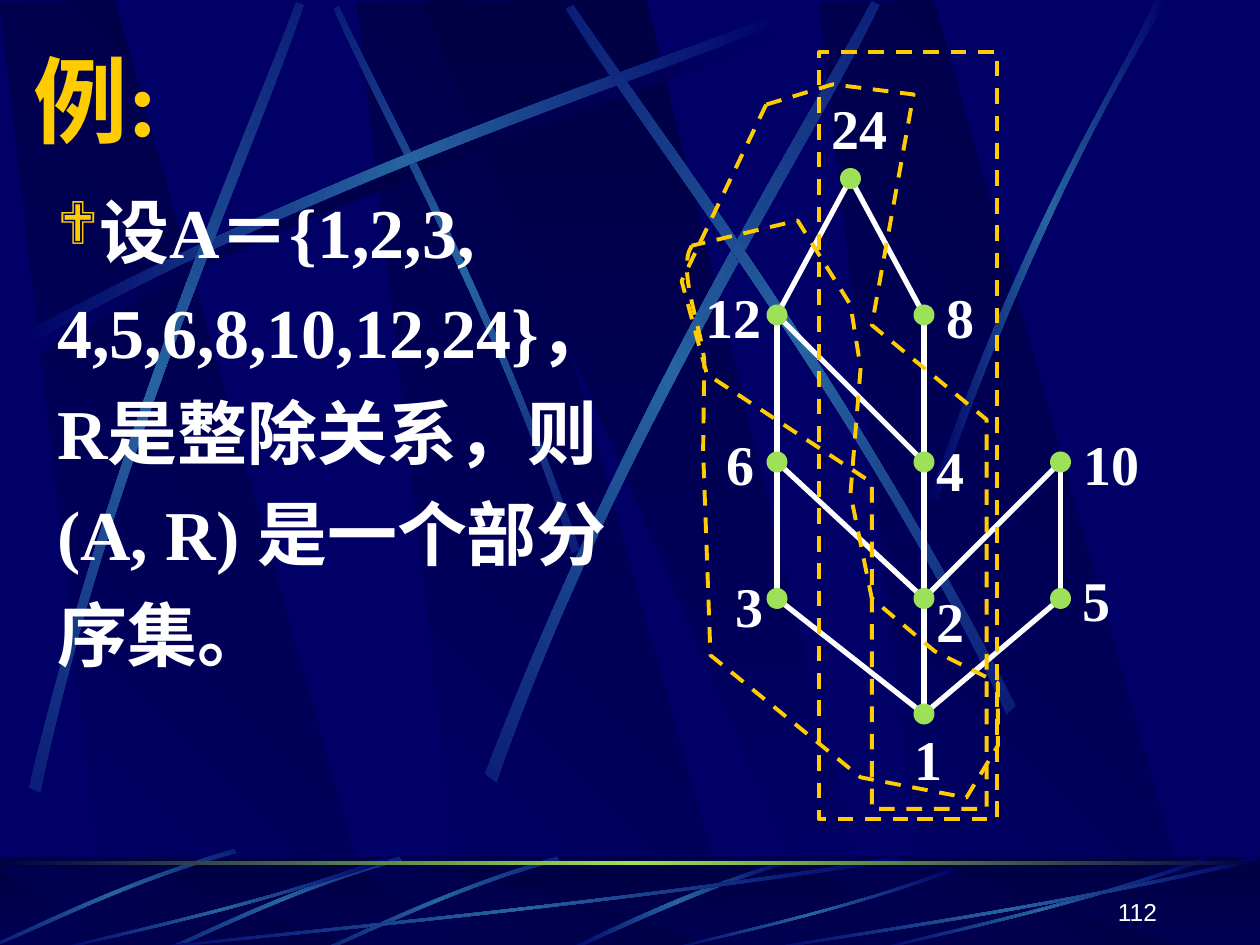
import math

import pptx
import pptx.dml.color
import pptx.enum.dml
import pptx.enum.shapes
import pptx.enum.text
import pptx.oxml.ns
import pptx.util
from lxml import etree

Pt = pptx.util.Pt
RGBColor = pptx.dml.color.RGBColor
MSO_SHAPE = pptx.enum.shapes.MSO_SHAPE
MSO_ANCHOR = pptx.enum.text.MSO_ANCHOR
PP_ALIGN = pptx.enum.text.PP_ALIGN
qn = pptx.oxml.ns.qn

NAVY = RGBColor(0x00, 0x00, 0x66)
DARK = RGBColor(0x00, 0x00, 0x44)
BLUE = RGBColor(0x26, 0x63, 0xA0)
GREEN = RGBColor(0x9C, 0xE1, 0x57)
GOLD = RGBColor(0xFF, 0xCC, 0x00)
WHITE = RGBColor(0xFF, 0xFF, 0xFF)
SERIF, SANS, CHINESE = "Times New Roman", "Arial", "Noto Sans CJK SC"

# Content
TITLE = "例:"
BODY = [("设A＝{1,2,3, 4,5,6,8,10,12,24}，R是整除关系，则(A, R) ", SERIF),
        ("是一个部分序集。", CHINESE)]
PAGE_NUMBER = "112"

# Hasse diagram: node -> (dot centre), (label corner)
NODES = {
    "24": ((486, 102), (468, 42.2)),
    "12": ((444, 180), (396, 150.2)), "8": ((528, 180), (533.8, 150.2)),
    "6": ((444, 264), (408.2, 234)), "4": ((528, 264), (527.8, 237.6)),
    "10": ((606, 264), (612, 234)),
    "3": ((444, 342), (413, 315.4)), "2": ((528, 342), (527.8, 324)),
    "5": ((606, 342), (611.3, 311.8)), "1": ((528, 408), (515.5, 402.8)),
}
EDGES = [("6", "2"), ("10", "2"), ("12", "4"), ("24", "8"), ("24", "12"),
         ("10", "5"), ("8", "1"), ("5", "1"), ("1", "3"), ("12", "3")]
DOT = 12

# Dashed outlines around subsets; the left one starts with a Bezier edge
SUBSET_FRAME = (468, 30, 102, 438)
LEFT_SUBSET = [(395.3, 140.4), (386.6, 154.1), (401, 187.2), (402.5, 206.6),
               (401.8, 257.8), (406, 374.4), (491.8, 444.2), (552.2, 455.8), (570.2, 426.2),
               (570.2, 390.2), (534.2, 372.2), (498.2, 342), (486, 282.2), (491.8, 210.2),
               (486, 174.2), (455.8, 126)]
RIGHT_SUBSET = [(437.8, 59.8), (389.5, 160.6), (403.9, 213.8), (498.2, 275.8), (498.2, 462.2),
                (563.8, 462.2), (563.8, 239.8), (498.2, 185.8), (522, 54), (475.9, 48.2)]

# Backdrop panels, and strands given as two Bezier edges of four points
SLAB = [(62, 540), (217.5, 541.5), (65.5, 0), (0, 1.5)]
BEAM = [(240, 0.5), (474, 541), (500, 541), (369.5, 0)]
SLAB_OFFSETS = (204, 0, 468)
SWEEP = [(10, 192), (200, 90), (373, 36.7), (446.4, 7.2),
         (448.6, 11.5), (376, 44), (178.6, 103), (12.2, 199.4)]
STRANDS = [
    (45, [(331.2, 313.9), (281.5, 168.5), (217.4, 55.4), (193.7, 3.6),
          (190.8, 5), (212.4, 56.9), (286.6, 185.8), (326.9, 316.1)]),
    (0, SWEEP),
    (311.7, [(16.6, 450), (67, 240.5), (141.8, 75.6), (169.2, 1.4),
             (173.5, 2.9), (149, 78.5), (61.9, 265), (23, 452.9)]),
    (321.6, [(277.2, 442.1), (358.6, 230.4), (459.4, 73.4), (498.2, 0.7),
             (502.6, 2.9), (467.3, 77.8), (349.9, 255.6), (283.7, 447.1)]),
    (34.7, [(580.3, 403.2), (482.4, 211), (371.5, 68.4), (327.6, 2.9),
            (323.3, 5), (365, 72.7), (493.2, 234), (575.3, 408.2)]),
    (0, [(531.4, 283.7), (586.1, 124.6), (639.4, 47.5), (660.2, 0),
         (667.4, 0), (601.9, 104.4), (553.7, 231.8), (535.7, 285.8)]),
]
FOOTER_STRAND = [(451.4, 491), (386.6, 510.5), (343.4, 534.2), (322.6, 542.9),
                 (326.2, 543.6), (352.8, 531.4), (411.1, 504), (452.2, 493.2)]
TILTED_STRAND = [(318.2, 489.6), (255.6, 507.6), (206.6, 532.8), (184.3, 542.2),
                 (185, 543.6), (207.4, 535), (262.8, 506.2), (319.7, 491.8)]
TILTED_OFFSETS = [(0, 0), (-90, 0), (-184.5, -4.3)]
UNIT_WISP = [(1, 0.04), (0.57, 0.57), (0.17, 0.85), (0.01, 1),
             (0, 0.99), (0.17, 0.81), (0.62, 0.51), (0.99, 0)]
WISP_BOXES = [(72, 489.6, 444.2, 54), (30.2, 489.6, 192.2, 54), (379.4, 496, 166.3, 47.5),
              (498.2, 489.6, 192.2, 54), (432, 489.6, 288, 54)]
FOOTER = (0, 489.6, 720, 54)

presentation = pptx.Presentation()
presentation.slide_width, presentation.slide_height = Pt(720), Pt(540)
slide = presentation.slides.add_slide(presentation.slide_layouts[6])
slide.background.fill.solid()
slide.background.fill.fore_color.rgb = NAVY
shapes = slide.shapes


def place(points, left=0, top=0, x_scale=1, y_scale=1):
    return [(left + x * x_scale, top + y * y_scale) for x, y in points]


def set_gradient(shape, colors, angle):
    shape.fill.gradient()
    gradient = shape._element.spPr.find(qn("a:gradFill"))
    stops = gradient.find(qn("a:gsLst"))
    for stop in list(stops):
        stops.remove(stop)
    for index, color in enumerate(colors):
        stop = etree.SubElement(stops, qn("a:gs"), pos=str(100000 * index // (len(colors) - 1)))
        etree.SubElement(stop, qn("a:srgbClr"), val=str(color))
    gradient.find(qn("a:lin")).set("ang", str(angle * 60000))


def polish(shape):
    shape.shadow.inherit = False
    shape.line.fill.background()
    return shape


def outline(points, curves=()):
    """Closed outline; each index in curves makes three segments one Bezier edge."""
    corners = [(Pt(x), Pt(y)) for x, y in points]
    builder = shapes.build_freeform(*corners[0])
    builder.add_line_segments(corners[1:], close=True)
    shape = builder.convert_to_shape()
    segments = list(shape._element.spPr.iter(qn("a:lnTo")))
    for first in curves:
        curve = etree.Element(qn("a:cubicBezTo"))
        segments[first].addprevious(curve)
        for segment in segments[first:first + 3]:
            curve.append(segment[0])
            segment.getparent().remove(segment)
    return polish(shape)


def preset(kind, box):
    return polish(shapes.add_shape(kind, *map(Pt, box)))


def strand(points, rotation=0, middle=BLUE):
    # Draw the strand turned back to level, then let the shape's rotation restore it
    cos, sin = math.cos(math.radians(rotation)), math.sin(math.radians(rotation))
    shape = outline([(x * cos + y * sin, y * cos - x * sin) for x, y in points], (0, 4))
    x, y = shape.left + shape.width / 2, shape.top + shape.height / 2
    shape.left += round(x * cos - y * sin - x)
    shape.top += round(x * sin + y * cos - y)
    shape.rotation = rotation
    set_gradient(shape, (NAVY, middle, NAVY), 0)


def panels(top, y_scale):
    for offset in SLAB_OFFSETS:
        set_gradient(outline(place(SLAB, offset, top, 1, y_scale)), (NAVY, DARK), 315)
    set_gradient(outline(place(BEAM, 0, top, 1, y_scale)), (DARK, NAVY), 90)


def dashed(shape):
    shape.fill.background()
    shape.line.color.rgb, shape.line.width = GOLD, Pt(2.25)
    shape.line.dash_style = pptx.enum.dml.MSO_LINE.DASH


def text_box(box, runs, size, color, bold=True, wrap=True, spacing=None,
             anchor=MSO_ANCHOR.TOP, align=PP_ALIGN.LEFT, bullet=None):
    frame = shapes.add_textbox(*map(Pt, box)).text_frame
    frame.word_wrap, frame.vertical_anchor = wrap, anchor
    paragraph = frame.paragraphs[0]
    paragraph.alignment, paragraph.line_spacing = align, spacing
    if bullet:
        properties = paragraph._p.get_or_add_pPr()
        bullet_color = etree.SubElement(properties, qn("a:buClr"))
        etree.SubElement(bullet_color, qn("a:srgbClr"), val=str(GOLD))
        etree.SubElement(properties, qn("a:buSzPct"), val="85000")
        etree.SubElement(properties, qn("a:buFont"), typeface="Wingdings", charset="2")
        etree.SubElement(properties, qn("a:buChar"), char=bullet)
    font = paragraph.font
    font.size, font.bold, font.color.rgb = Pt(size), bold, color
    for text, name in runs:
        run = paragraph.add_run()
        run.text, run.font.name = text, name
        etree.SubElement(run._r.get_or_add_rPr(), qn("a:ea"), typeface=CHINESE)


# Backdrop
panels(0, 1)
strand(place(SWEEP, 4.3, 5.8), middle=DARK)
for rotation, points in STRANDS:
    strand(points, rotation)

# Footer band
set_gradient(preset(MSO_SHAPE.RECTANGLE, FOOTER), (DARK, NAVY), 90)
panels(495.4, 0.09)
veil = preset(MSO_SHAPE.RECTANGLE, FOOTER)
veil.fill.solid()
veil.fill.fore_color.rgb = DARK
etree.SubElement(veil._element.spPr.find(".//" + qn("a:srgbClr")), qn("a:alpha"), val="50000")
strand(FOOTER_STRAND)
for offset in TILTED_OFFSETS:
    strand(place(TILTED_STRAND, *offset), 315)
for box in WISP_BOXES:
    strand(place(UNIT_WISP, *box))
set_gradient(preset(MSO_SHAPE.RECTANGLE, (0, 492.3, 720, 1.8)), (DARK, GREEN, DARK), 0)

# Title and body
text_box((12, 20.3, 684, 72), [(TITLE, SERIF)], 54, GOLD, anchor=MSO_ANCHOR.MIDDLE)
text_box((25.6, 94.3, 336, 408), BODY, 40, WHITE, spacing=1.2, bullet="❖")

# Hasse diagram
for start, end in EDGES:
    ends = NODES[start][0] + NODES[end][0]
    edge = shapes.add_connector(pptx.enum.shapes.MSO_CONNECTOR.STRAIGHT, *map(Pt, ends))
    edge.line.color.rgb, edge.line.width = WHITE, Pt(3)
    etree.SubElement(edge._element.spPr, qn("a:effectLst"))
for label, ((x, y), corner) in NODES.items():
    dot = preset(MSO_SHAPE.OVAL, (x - DOT / 2, y - DOT / 2, DOT, DOT))
    dot.fill.solid()
    dot.fill.fore_color.rgb = GREEN
    text_box((*corner, 14.4 + 16 * len(label), 53.3), [(label, SERIF)], 32, WHITE,
             wrap=False, spacing=1.2)

# Subset outlines
dashed(preset(MSO_SHAPE.RECTANGLE, SUBSET_FRAME))
dashed(outline(LEFT_SUBSET, (0,)))
dashed(outline(RIGHT_SUBSET))

# Page number
text_box((518.4, 496.8, 149.8, 36), [(PAGE_NUMBER, SANS)], 14, WHITE, bold=False,
         anchor=MSO_ANCHOR.BOTTOM, align=PP_ALIGN.RIGHT)

presentation.save("out.pptx")
